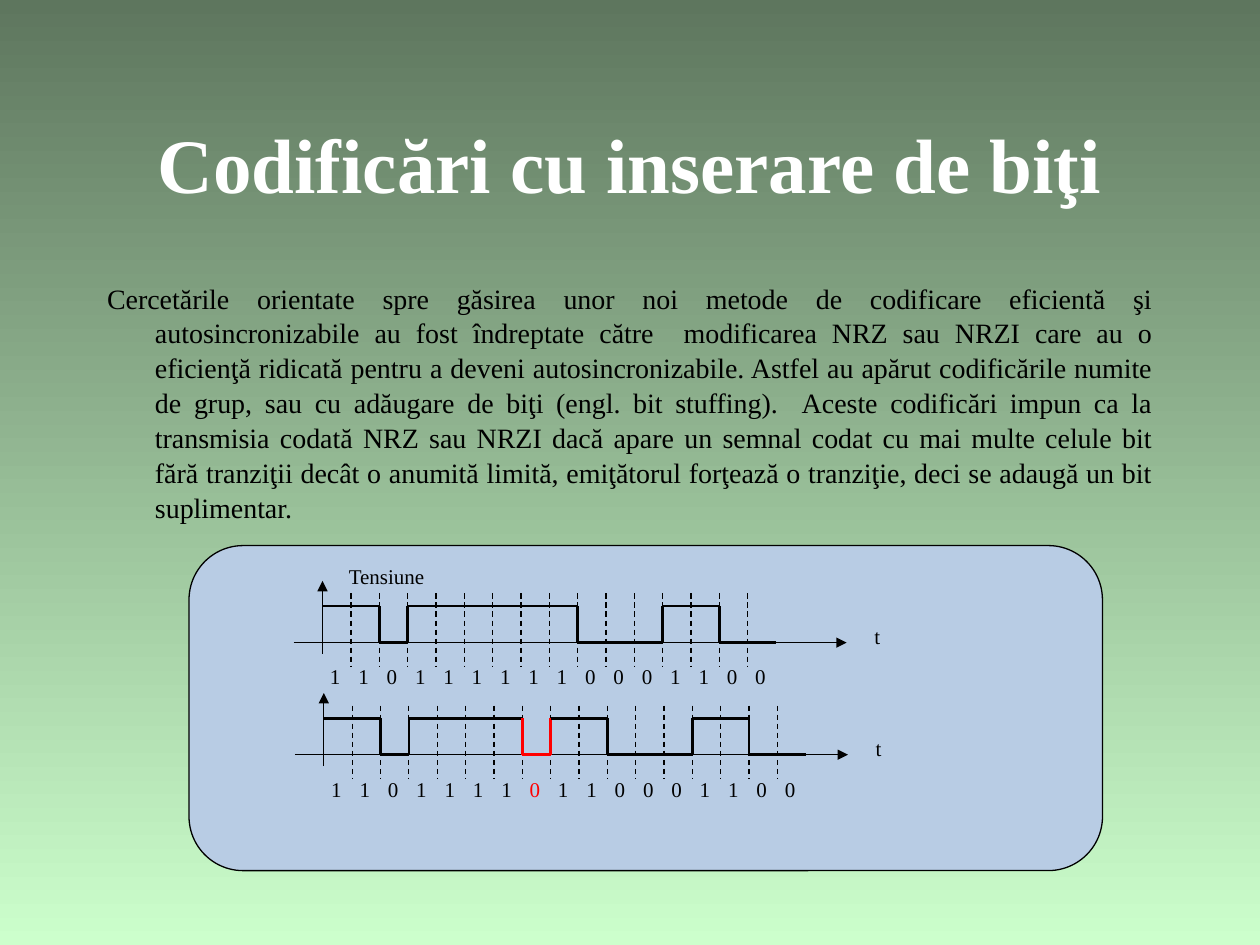
from itertools import groupby
from lxml.etree import SubElement
from pptx import Presentation
from pptx.dml.color import RGBColor
from pptx.enum.dml import MSO_LINE
from pptx.enum.shapes import MSO_CONNECTOR, MSO_SHAPE
from pptx.enum.text import MSO_ANCHOR, PP_ALIGN
from pptx.oxml.ns import qn
from pptx.util import Inches, Pt

FONT = "Times New Roman"
BLACK, RED, WHITE = "000000", "FF0000", "FFFFFF"
CELL = 3.6 / 16  # width of one bit cell
HIGH = 0.29      # height of the signal

BODY = (
    "Cercetările orientate spre găsirea unor noi metode de codificare eficientă şi "
    "autosincronizabile au fost îndreptate către  modificarea NRZ sau NRZI care au o "
    "eficienţă ridicată pentru a deveni autosincronizabile. Astfel au apărut codificările "
    "numite de grup, sau cu adăugare de biţi (engl. bit stuffing).  Aceste codificări impun "
    "ca la transmisia codată NRZ sau NRZI dacă apare un semnal codat cu mai multe celule bit "
    "fără tranziţii decât o anumită limită, emiţătorul forţează o tranziţie, deci se adaugă "
    "un bit suplimentar."
)


def rgb(code):
    return RGBColor.from_string(code)


def place(shape, x, y, w, h):
    shape.left, shape.top = Inches(x), Inches(y)
    shape.width, shape.height = Inches(w), Inches(h)


def add_run(para, text, size, color=BLACK, bold=False):
    run = para.add_run()
    run.text = text
    font = run.font
    font.name, font.size, font.bold = FONT, Pt(size), bold
    font.color.rgb = rgb(color)


def add_label(slide, x, y, w, h):
    frame = slide.shapes.add_textbox(Inches(x), Inches(y), Inches(w), Inches(h)).text_frame
    frame.word_wrap = True
    return frame.paragraphs[0]


def add_line(slide, x1, y1, x2, y2, color=BLACK, width=0.75, dash=False, arrow=False):
    line = slide.shapes.add_connector(
        MSO_CONNECTOR.STRAIGHT, Inches(x1), Inches(y1), Inches(x2), Inches(y2))
    line.line.color.rgb = rgb(color)
    line.line.width = Pt(width)
    if dash:
        line.line.dash_style = MSO_LINE.DASH
    props = line._element.spPr
    if arrow:
        SubElement(props.find(qn("a:ln")), qn("a:tailEnd"), type="triangle")
    SubElement(props, qn("a:effectLst"))


def fill_back(slide):
    fill = slide.background.fill
    fill.gradient()
    fill.gradient_angle = 270
    for stop, code, pos in zip(fill.gradient_stops, ("5E765E", "CCFFCC"), (0, 1)):
        stop.color.rgb = rgb(code)
        stop.position = pos


def add_title(slide, x, y, w, h):
    title = slide.shapes.title
    place(title, x, y, w, h)
    frame = title.text_frame
    frame.vertical_anchor = MSO_ANCHOR.MIDDLE
    para = frame.paragraphs[0]
    para.alignment = PP_ALIGN.CENTER
    add_run(para, "Codificări cu inserare de biţi", 44, WHITE, True)


def add_body(slide, x, y, w, h):
    body = slide.placeholders[1]
    place(body, x, y, w, h)
    para = body.text_frame.paragraphs[0]
    para.alignment = PP_ALIGN.JUSTIFY
    para.space_before = Pt(4)
    para.line_spacing = 1.04
    props = para._p.get_or_add_pPr()
    props.set("marL", str(Inches(0.38)))
    props.set("indent", str(Inches(-0.38)))
    SubElement(props, qn("a:buNone"))
    add_run(para, BODY, 16)


def add_bits(slide, x, y, bits, stuffed):
    """Bit values, one tab stop per cell."""
    count = len(bits)
    para = add_label(slide, x, y, count * CELL + 0.25, 0.29)
    tabs = SubElement(para._p.get_or_add_pPr(), qn("a:tabLst"))
    for i in range(1, count):
        SubElement(tabs, qn("a:tab"), pos=str(Inches(i * CELL)), algn="l")
    cells = [bit if i == 0 else "\t" + bit for i, bit in enumerate(bits)]
    for red, group in groupby(range(count), lambda i: i == stuffed):
        add_run(para, "".join(cells[i] for i in group), 12, RED if red else BLACK)


def add_wave(slide, x, y, bits, stuffed):
    """Signal levels and the edges between them."""
    start, last, was_red = 0, None, False
    for (bit, red), group in groupby(enumerate(bits), lambda p: (p[1], p[0] == stuffed)):
        end = start + len(list(group))
        left, right = x + start * CELL, x + end * CELL
        level = y - HIGH * int(bit)
        if last is not None:
            add_line(slide, left, last, left, level, RED if red or was_red else BLACK, 1.5)
        add_line(slide, left, level, right, level, RED if red else BLACK, 1.5)
        start, last, was_red = end, level, red


def add_graph(slide, x, y, w, h, bits, stuffed=None):
    zero, base = x + 0.23, y + h - 0.09
    # Axes
    add_line(slide, zero, y + h, zero, y, arrow=True)
    add_line(slide, x, base, x + w, base, arrow=True)
    add_run(add_label(slide, x + w + 0.12, base - 0.2, 0.45, 0.29), "t", 12)
    # Cell borders
    for i in range(1, len(bits)):
        edge = zero + i * CELL
        add_line(slide, edge, base - 0.39, edge, base + 0.19, dash=True)
    add_wave(slide, zero, base, bits, stuffed)
    add_bits(slide, zero - 0.04, base + 0.12, bits, stuffed)


def add_panel(slide, x, y, w, h):
    panel = slide.shapes.add_shape(
        MSO_SHAPE.ROUNDED_RECTANGLE, Inches(x), Inches(y), Inches(w), Inches(h))
    panel.shadow.inherit = False
    panel.fill.solid()
    panel.fill.fore_color.rgb = rgb("B8CCE4")
    panel.line.color.rgb = rgb(BLACK)
    panel.line.width = Pt(0.75)
    add_run(add_label(slide, x + 1.17, y + 0.09, 0.9, 0.29), "Tensiune", 12)
    # Plain signal above, signal with the stuffed bit below
    add_graph(slide, x + 0.83, y + 0.28, 4.39, 0.58, "1101111110001100")
    add_graph(slide, x + 0.84, y + 1.17, 4.39, 0.58, "11011110110001100", 7)


def main():
    deck = Presentation()
    deck.slide_width, deck.slide_height = Inches(10), Inches(7.5)
    slide = deck.slides.add_slide(deck.slide_layouts[1])
    fill_back(slide)
    add_title(slide, 0.75, 0.67, 8.5, 1.25)
    add_body(slide, 0.75, 2.17, 8.5, 4.5)
    add_panel(slide, 1.5, 4.33, 7.25, 2.58)
    deck.save("out.pptx")


if __name__ == "__main__":
    main()
